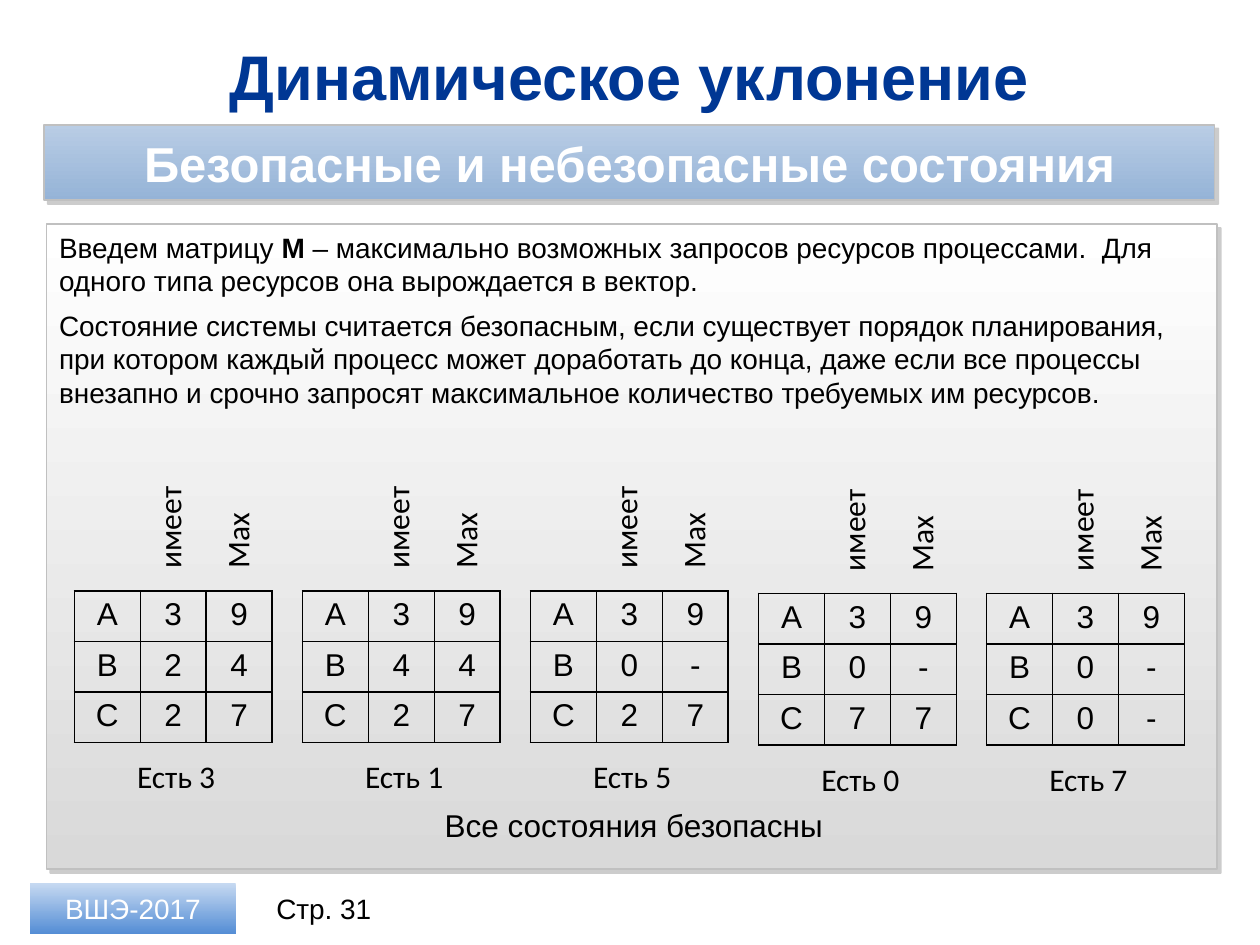
import pptx
import pptx.dml.color
import pptx.enum.shapes
import pptx.enum.text
import pptx.oxml
import pptx.oxml.ns
import pptx.util

Inches = pptx.util.Inches
Pt = pptx.util.Pt
ALIGN = pptx.enum.text.PP_ALIGN
ANCHOR = pptx.enum.text.MSO_ANCHOR

BODY = [
    [("Введем матрицу ", False), ("М", True),
     (" – максимально возможных запросов ресурсов процессами.  Для одного типа "
      "ресурсов она вырождается в вектор.", False)],
    [("Состояние системы считается безопасным, если существует порядок планирования, "
      "при котором каждый процесс может доработать до конца, даже если все процессы "
      "внезапно и срочно запросят максимальное количество требуемых им ресурсов.", False)],
]

STATES = [
    (4.69, ["A39", "B24", "C27"], "Есть 3"),
    (4.69, ["A39", "B44", "C27"], "Есть 1"),
    (4.69, ["A39", "B0-", "C27"], "Есть 5"),
    (4.71, ["A39", "B0-", "C77"], "Есть 0"),
    (4.71, ["A39", "B0-", "C0-"], "Есть 7"),
]


def rgb(value):
    """Turn a hex string into a colour."""
    return pptx.dml.color.RGBColor.from_string(value)


def add_run(p, text, color="000000", **font):
    """Add a run with the given font values."""
    r = p.add_run()
    r.text = text
    r.font.color.rgb = rgb(color)
    for name, value in ({"name": "Arial", "size": Pt(18), "bold": False} | font).items():
        setattr(r.font, name, value)


def add_text(s, box, text, align=ALIGN.LEFT, anchor=ANCHOR.TOP, rotation=0, **font):
    """Add a text box with a single line of text."""
    sp = s.shapes.add_textbox(*map(Inches, box))
    sp.rotation = rotation
    tf = sp.text_frame
    tf.word_wrap = True
    tf.vertical_anchor = anchor
    p = tf.paragraphs[0]
    p.alignment = align
    add_run(p, text, **font)


def add_body(s, box):
    """Add the explanatory paragraphs."""
    tf = s.shapes.add_textbox(*map(Inches, box)).text_frame
    tf.word_wrap = True
    for i, runs in enumerate(BODY):
        p = tf.add_paragraph() if i else tf.paragraphs[0]
        if i:
            p.space_before = Pt(6)
        for text, bold in runs:
            add_run(p, text, size=Pt(16), bold=bold)


def add_shadow(sp):
    """Give a shape a hard shadow to the lower right."""
    effects = sp._element.spPr.find(pptx.oxml.ns.qn("a:effectLst"))
    effects.append(pptx.oxml.parse_xml(
        f'<a:outerShdw {pptx.oxml.ns.nsdecls("a")} dist="{Pt(3)}" dir="2700000" '
        'algn="tl" rotWithShape="0"><a:srgbClr val="808080"><a:alpha val="40000"/>'
        '</a:srgbClr></a:outerShdw>'))


def add_panel(s, box, top, bottom, framed=True, text="", **font):
    """Add a rectangle with a vertical gradient, optionally framed and labelled."""
    sp = s.shapes.add_shape(pptx.enum.shapes.MSO_SHAPE.RECTANGLE, *map(Inches, box))
    sp.fill.gradient()
    sp.fill.gradient_angle = 270
    for stop, color in zip(sp.fill.gradient_stops, (top, bottom)):
        stop.color.rgb = rgb(color)
    sp.shadow.inherit = False
    if framed:
        sp.line.color.rgb = rgb("C0C0C0")
        sp.line.width = Pt(1)
        add_shadow(sp)
    else:
        sp.line.fill.background()
    if text:
        tf = sp.text_frame
        tf.vertical_anchor = ANCHOR.MIDDLE
        p = tf.paragraphs[0]
        p.alignment = ALIGN.CENTER
        add_run(p, text, color="FFFFFF", **font)


def add_borders(cell):
    """Draw thin black lines on all sides of a cell."""
    for side in "LRTB":
        cell._tc.get_or_add_tcPr().append(pptx.oxml.parse_xml(
            f'<a:ln{side} {pptx.oxml.ns.nsdecls("a")} w="{Pt(1)}"><a:solidFill>'
            f'<a:srgbClr val="000000"/></a:solidFill></a:ln{side}>'))


def add_table(s, left, top, rows):
    """Add a grid of processes with held and maximum resources."""
    n, m = len(rows), len(rows[0])
    table = s.shapes.add_table(n, m, Inches(left), Inches(top),
                               Inches(1.57), Inches(1.2)).table
    table.first_row = table.horz_banding = False
    for i, row in enumerate(rows):
        for j, value in enumerate(row):
            cell = table.cell(i, j)
            add_borders(cell)
            cell.fill.background()
            p = cell.text_frame.paragraphs[0]
            p.alignment = ALIGN.CENTER
            add_run(p, value)


def add_state(s, left, top, rows, free):
    """Add one system state: table, column headings and free resources."""
    add_table(s, left, top, rows)
    for dx, heading in ((0.28, "имеет"), (0.82, "Max")):
        add_text(s, (left + dx, top - 0.75, 0.94, 0.4), heading,
                 rotation=270, name="Calibri")
    add_text(s, (left + 0.4, top + 1.27, 1.02, 0.4), free, name="Calibri")


def main():
    """Build the slide and save it."""
    prs = pptx.Presentation()
    prs.slide_width, prs.slide_height = Inches(10), Inches(7.5)
    s = prs.slides.add_slide(prs.slide_layouts[6])
    centred = {"align": ALIGN.CENTER, "anchor": ANCHOR.MIDDLE}
    add_text(s, (0.35, 0.26, 9.29, 0.68), "Динамическое уклонение", **centred,
             color="003794", size=Pt(36), bold=True)
    add_text(s, (2.03, 7.01, 1.08, 0.4), "Стр. 31", **centred, size=Pt(16))
    add_panel(s, (0.24, 7.01, 1.63, 0.4), "C6D9F1", "558ED5", framed=False,
              text="ВШЭ-2017", size=Pt(16))
    add_panel(s, (0.37, 1.78, 9.29, 5.12), "FFFFFF", "D9D9D9")
    add_panel(s, (0.35, 0.99, 9.29, 0.6), "B9CDE5", "95B3D7",
              text="Безопасные и небезопасные состояния", size=Pt(28), bold=True)
    add_body(s, (0.37, 1.78, 9.28, 1.53))
    for i, (top, rows, free) in enumerate(STATES):
        add_state(s, 0.59 + 1.81 * i, top, rows, free)
    add_text(s, (3.43, 6.35, 3.78, 0.4), "Все состояния безопасны")
    prs.save("out.pptx")


if __name__ == "__main__":
    main()
